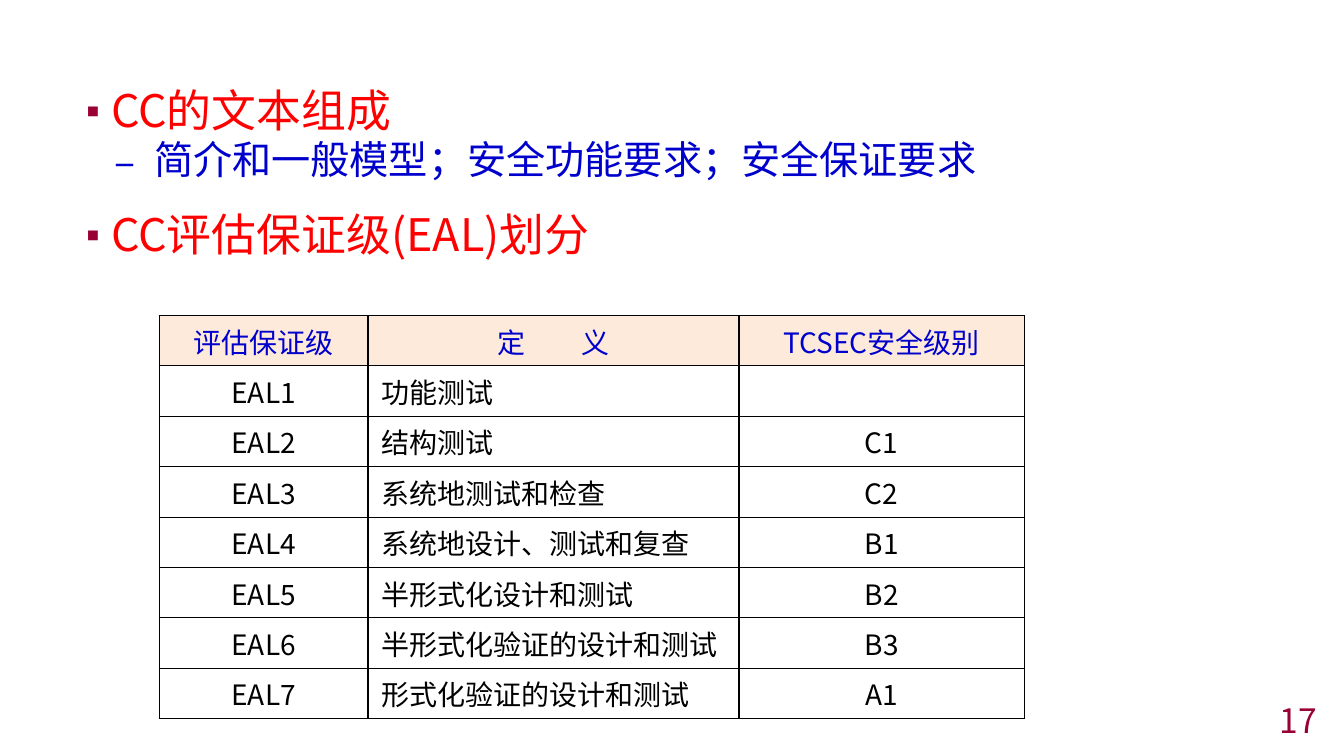
from lxml import etree
from pptx import Presentation
from pptx.dml.color import RGBColor
from pptx.enum.text import MSO_ANCHOR, PP_ALIGN
from pptx.oxml.ns import qn
from pptx.util import Inches, Pt

LEFT, CENTER, RIGHT = PP_ALIGN.LEFT, PP_ALIGN.CENTER, PP_ALIGN.RIGHT
TOP, MIDDLE = MSO_ANCHOR.TOP, MSO_ANCHOR.MIDDLE
BLANK_LAYOUT = 6
FONT = "Noto Sans CJK SC"
COLORS = {"maroon": "990033", "red": "FF0000", "blue": "0000CC",
          "black": "000000", "peach": "FDEADA"}

HEADING = {"size": 32, "color": "red", "bullet": "▪", "bullet_color": "maroon",
           "bullet_percent": 80, "margin": 0.29, "hanging": 0.29}
DETAIL = {"size": 28, "color": "blue", "bullet": "–", "bullet_color": "blue",
          "bullet_percent": 100, "margin": 0.78, "hanging": 0.39}
OUTLINE = [
    ("CC的文本组成", HEADING, 0),
    ("简介和一般模型；安全功能要求；安全保证要求", DETAIL, 2.5),
    ("CC评估保证级(EAL)划分", HEADING, 21),
]

LEVEL_HEADER = ("评估保证级", "定　　义", "TCSEC安全级别")
LEVELS = [
    ("EAL1", "功能测试", ""),
    ("EAL2", "结构测试", "C1"),
    ("EAL3", "系统地测试和检查", "C2"),
    ("EAL4", "系统地设计、测试和复查", "B1"),
    ("EAL5", "半形式化设计和测试", "B2"),
    ("EAL6", "半形式化验证的设计和测试", "B3"),
    ("EAL7", "形式化验证的设计和测试", "A1"),
]
COLUMN_WIDTHS = (2.07, 3.68, 2.83)
COLUMN_ALIGNS = (CENTER, LEFT, CENTER)
ROW_HEIGHT = 0.5


def rgb(name):
    return RGBColor.from_string(COLORS[name])


def set_all(target, values):
    for name, value in values.items():
        setattr(target, name, value)


def add_node(parent, tag, **attributes):
    return etree.SubElement(parent, qn(tag), attributes)


class SlideWriter:
    """Holds the font and the current slide."""

    def __init__(self, slide, font):
        self.slide = slide
        self.font = font

    def text(self, para, words, size, color, align=LEFT):
        para.alignment = align
        if not words:
            return
        span = para.add_run()
        span.text = words
        set_all(span.font, {"name": self.font, "size": Pt(size), "bold": False})
        span.font.color.rgb = rgb(color)
        add_node(span.font._element, "a:ea", typeface=self.font)

    def box(self, left, top, width, height, anchor=TOP):
        box = self.slide.shapes.add_textbox(
            Inches(left), Inches(top), Inches(width), Inches(height))
        set_all(box.text_frame, {"word_wrap": True, "vertical_anchor": anchor})
        return box.text_frame

    def bullet(self, para, look):
        properties = para._p.get_or_add_pPr()
        properties.set("marL", str(Inches(look["margin"])))
        properties.set("indent", str(-Inches(look["hanging"])))
        color = add_node(properties, "a:buClr")
        add_node(color, "a:srgbClr", val=COLORS[look["bullet_color"]])
        add_node(properties, "a:buSzPct", val=str(look["bullet_percent"] * 1000))
        add_node(properties, "a:buFont", typeface=self.font)
        add_node(properties, "a:buChar", char=look["bullet"])

    def outline(self, frame, items):
        for index, (words, look, gap) in enumerate(items):
            para = frame.add_paragraph() if index else frame.paragraphs[0]
            set_all(para, {"line_spacing": 0.9, "space_before": Pt(gap)})
            self.bullet(para, look)
            self.text(para, words, look["size"], look["color"])

    def borders(self, cell):
        properties = cell._tc.get_or_add_tcPr()
        for side in ("a:lnL", "a:lnR", "a:lnT", "a:lnB"):
            line = add_node(properties, side, w=str(Pt(1)))
            fill = add_node(line, "a:solidFill")
            add_node(fill, "a:srgbClr", val=COLORS["black"])

    def cell(self, cell, words, align, is_header):
        set_all(cell, {"margin_left": Inches(0.13), "margin_right": Inches(0.13),
                       "margin_top": Inches(0.05), "margin_bottom": Inches(0.05)})
        self.borders(cell)
        if is_header:
            cell.fill.solid()
            cell.fill.fore_color.rgb = rgb("peach")
        else:
            cell.fill.background()
        self.text(cell.text_frame.paragraphs[0], words, 20,
                  "blue" if is_header else "black",
                  CENTER if is_header else align)

    def table(self, left, top, rows):
        table = self.slide.shapes.add_table(
            len(rows), len(COLUMN_WIDTHS), Inches(left), Inches(top),
            Inches(sum(COLUMN_WIDTHS)), Inches(ROW_HEIGHT * len(rows))).table
        set_all(table, {"first_row": False, "horz_banding": False})
        for column, width in zip(table.columns, COLUMN_WIDTHS):
            column.width = Inches(width)
        for row_index, row in enumerate(rows):
            for column_index, words in enumerate(row):
                self.cell(table.cell(row_index, column_index), words,
                          COLUMN_ALIGNS[column_index], row_index == 0)


def main():
    deck = Presentation()
    set_all(deck, {"slide_width": Inches(13.33), "slide_height": Inches(7.5)})
    page = deck.slides.add_slide(deck.slide_layouts[BLANK_LAYOUT])
    writer = SlideWriter(page, FONT)

    number = writer.box(10.33, 6.99, 2.83, 0.31, MIDDLE)
    writer.text(number.paragraphs[0], "17", 24, "maroon", RIGHT)
    writer.outline(writer.box(0.65, 0.83, 12.04, 6.31), OUTLINE)
    writer.table(1.58, 3.13, [LEVEL_HEADER, *LEVELS])
    deck.save("out.pptx")


if __name__ == "__main__":
    main()
